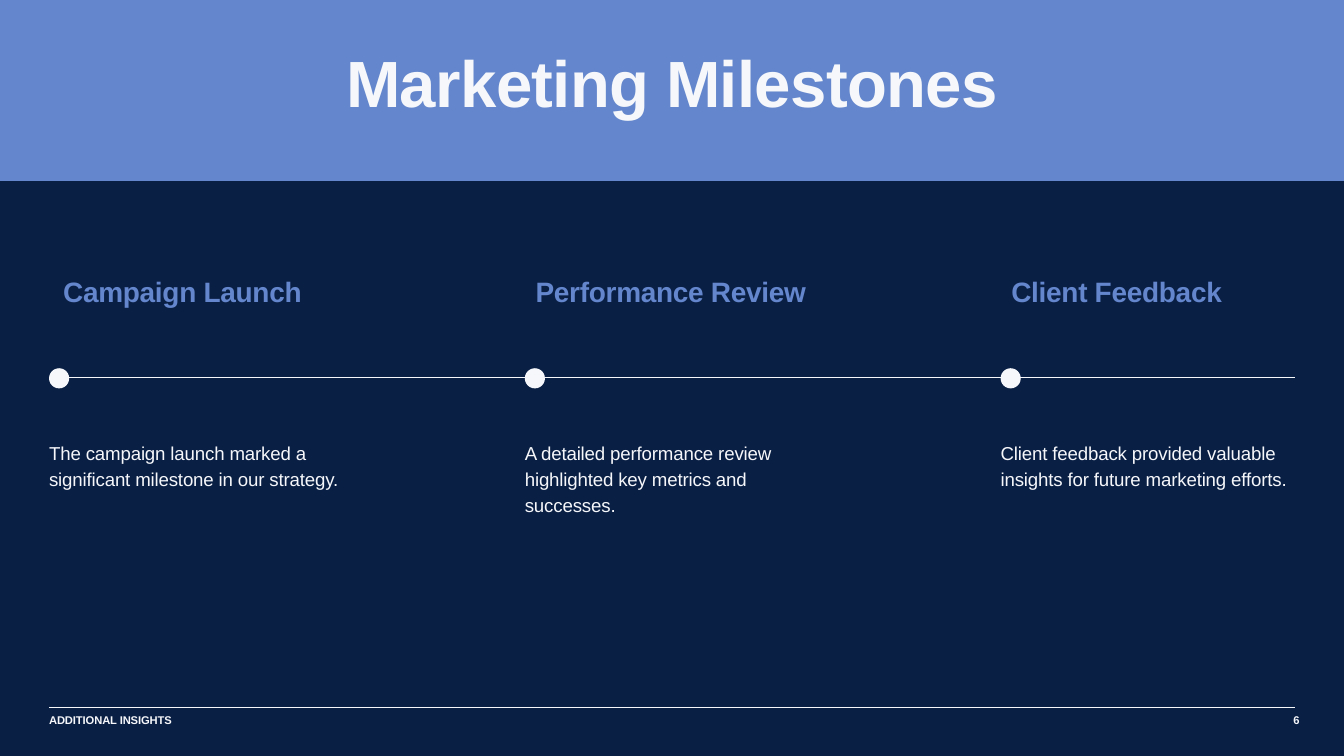
from lxml import etree
from pptx import Presentation
from pptx.dml.color import RGBColor
from pptx.enum import shapes, text
from pptx.oxml.ns import qn
from pptx.util import Inches, Pt

WIDTH, HEIGHT = 20, 11.25
MARGIN = 0.73
CONTENT = WIDTH - 2 * MARGIN
PITCH, COLUMN = 7.08, 4.39  # distance between milestone columns, column width
NAVY, BLUE, WHITE = "0A1F44", "6386CC", "F5F7FA"


def color(value):
    return RGBColor.from_string(value)


def write(tf, content, size=20, fill=WHITE, bold=False, leading=28,
          spacing=0.0, align=text.PP_ALIGN.LEFT, wrap=True):
    """Put one formatted paragraph into a text frame."""
    tf.margin_left = tf.margin_top = tf.margin_right = tf.margin_bottom = 0
    tf.word_wrap = wrap
    tf.auto_size = text.MSO_AUTO_SIZE.NONE
    tf.vertical_anchor = text.MSO_ANCHOR.TOP
    p = tf.paragraphs[0]
    p.alignment = align
    p.line_spacing = Pt(leading)
    r = p.add_run()
    r.text = content
    r.font.name, r.font.size, r.font.bold = "Arial", Pt(size), bold
    r.font.color.rgb = color(fill)
    if spacing:
        r._r.get_or_add_rPr().set("spc", str(round(spacing * 100)))


class Deck:
    """Holds the style and the current slide."""

    def __init__(self, prs):
        self.s = prs.slides.add_slide(prs.slide_layouts[5])
        self.s.background.fill.solid()
        self.s.background.fill.fore_color.rgb = color(NAVY)

    def shape(self, kind, x, y, w, h, fill):
        sp = self.s.shapes.add_shape(kind, Inches(x), Inches(y), Inches(w), Inches(h))
        sp.shadow.inherit = False
        sp.fill.solid()
        sp.fill.fore_color.rgb = color(fill)
        sp.line.fill.background()

    def rule(self, y):
        line = self.s.shapes.add_connector(
            shapes.MSO_CONNECTOR.STRAIGHT,
            Inches(MARGIN), Inches(y), Inches(MARGIN + CONTENT), Inches(y))
        line.line.color.rgb = color(WHITE)
        line.line.width = Pt(0.75)
        etree.SubElement(line._element.spPr, qn("a:effectLst"))

    def title(self, content, y, h, **style):
        sp = self.s.shapes.title
        sp.left, sp.top = Inches(MARGIN), Inches(y)
        sp.width, sp.height = Inches(CONTENT), Inches(h)
        self.s.shapes._spTree.append(sp._element)  # bring in front of the band
        write(sp.text_frame, content, **style)

    def label(self, content, x, y, w, h, **style):
        sp = self.s.shapes.add_textbox(Inches(x), Inches(y), Inches(w), Inches(h))
        write(sp.text_frame, content, **style)


def main():
    prs = Presentation()
    prs.slide_width, prs.slide_height = Inches(WIDTH), Inches(HEIGHT)
    deck = Deck(prs)

    # Title band
    deck.shape(shapes.MSO_SHAPE.RECTANGLE, 0, 0, WIDTH, 2.69, BLUE)
    deck.title("Marketing Milestones", 0.72, 1.17, size=70, bold=True,
               leading=77, spacing=-0.7, align=text.PP_ALIGN.CENTER)

    # Timeline: heading, dot and description in each column
    deck.rule(5.62)
    milestones = [
        ("Campaign Launch", 0.21,
         "The campaign launch marked a significant milestone in our strategy."),
        ("Performance Review", 0.16,
         "A detailed performance review highlighted key metrics and successes."),
        ("Client Feedback", 0.16,
         "Client feedback provided valuable insights for future marketing efforts."),
    ]
    for i, (heading, indent, description) in enumerate(milestones):
        x = MARGIN + i * PITCH
        deck.label(heading, x + indent, 4.12, 4.2, 0.52, size=30, fill=BLUE,
                   bold=True, leading=33, spacing=-0.3)
        deck.shape(shapes.MSO_SHAPE.OVAL, x, 5.48, 0.3, 0.3, WHITE)
        deck.label(description, x, 6.52, COLUMN, 1.18, spacing=-0.2)

    # Footer
    deck.rule(10.52)
    footer = dict(size=12, bold=True, leading=16.8)
    deck.label("ADDITIONAL INSIGHTS", MARGIN, 10.58, 2.81, 0.24,
               spacing=-0.1, **footer)
    deck.label("6", 19.17, 10.58, 0.17, 0.21, align=text.PP_ALIGN.RIGHT,
               wrap=False, **footer)

    prs.save("out.pptx")


if __name__ == "__main__":
    main()
